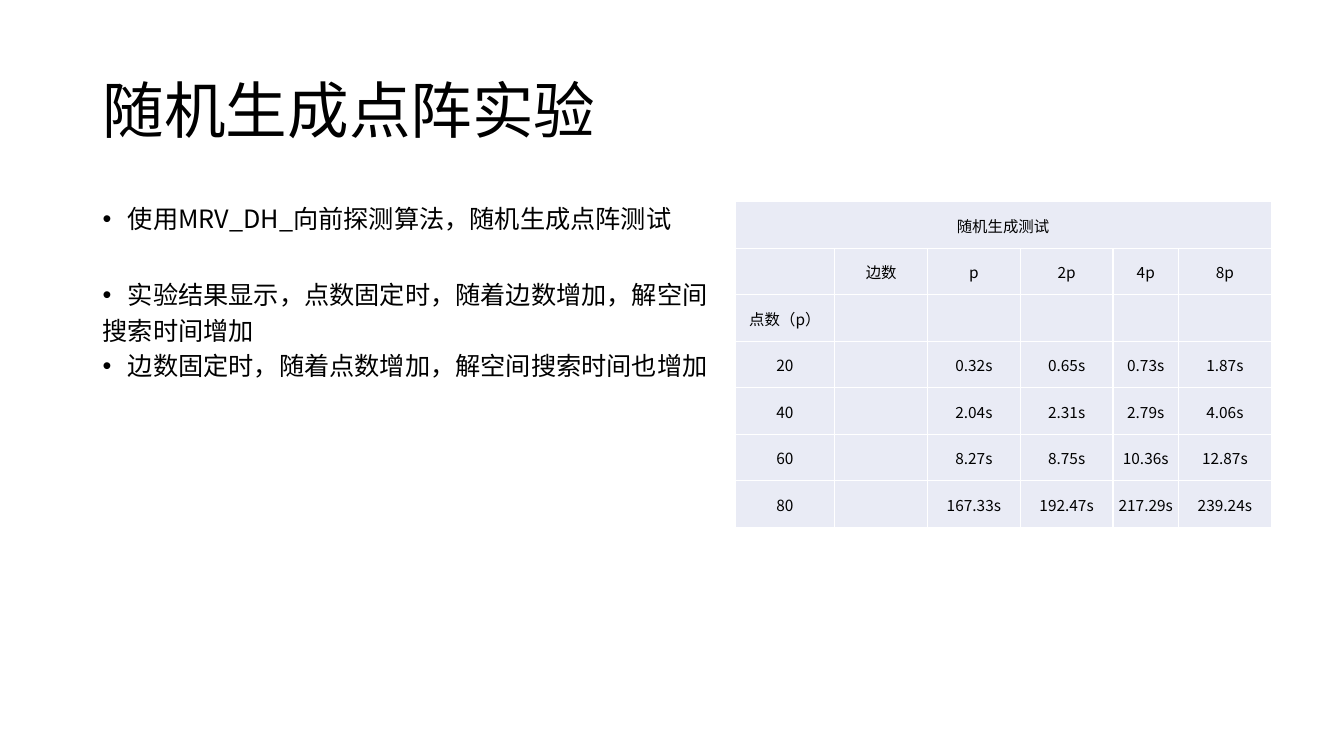
from dataclasses import dataclass

from lxml.etree import SubElement
from pptx import Presentation
from pptx.dml.color import RGBColor
from pptx.enum.text import MSO_ANCHOR, PP_ALIGN
from pptx.oxml.ns import qn
from pptx.util import Inches, Pt


@dataclass(frozen=True)
class Theme:
    """Colours, font and type sizes of the slide."""
    font: str = "Noto Sans CJK SC"
    ink: str = "000000"
    cell: str = "E9EBF5"
    rule: str = "FFFFFF"
    title: int = 44
    body: int = 18
    table: int = 11


THEME = Theme()
BULLETS = [
    ("使用MRV_DH_向前探测算法，随机生成点阵测试", True, 0),
    ("实验结果显示，点数固定时，随着边数增加，解空间", True, 35),
    ("搜索时间增加", False, 6),
    ("边数固定时，随着点数增加，解空间搜索时间也增加", True, 6),
]
COLUMNS = [0.99, 0.92, 0.92, 0.92, 0.65, 0.92]
ROWS = [
    ["随机生成测试", "", "", "", "", ""],
    ["", "边数", "p", "2p", "4p", "8p"],
    ["点数（p）", "", "", "", "", ""],
    ["20", "", "0.32s", "0.65s", "0.73s", "1.87s"],
    ["40", "", "2.04s", "2.31s", "2.79s", "4.06s"],
    ["60", "", "8.27s", "8.75s", "10.36s", "12.87s"],
    ["80", "", "167.33s", "192.47s", "217.29s", "239.24s"],
]


def style_runs(p, size):
    """Give every run of a paragraph the theme font, colour and a size."""
    for r in p.runs:
        r.font.size = Pt(size)
        r.font.name = THEME.font
        r.font.color.rgb = RGBColor.from_string(THEME.ink)
        SubElement(r.font._element, qn("a:ea"), typeface=THEME.font)


def add_text_frame(s, left, top, width, height, anchor):
    """Add a wrapping text box and return its text frame."""
    tf = s.shapes.add_textbox(Inches(left), Inches(top), Inches(width), Inches(height)).text_frame
    tf.word_wrap = True
    tf.vertical_anchor = anchor
    return tf


def add_title(s, text):
    """Add the slide title."""
    tf = add_text_frame(s, 0.92, 0.4, 11.5, 1.45, MSO_ANCHOR.MIDDLE)
    tf.text = text
    p = tf.paragraphs[0]
    p.line_spacing = 0.9
    style_runs(p, THEME.title)


def set_bullet(p):
    """Give a paragraph a hanging round bullet."""
    pPr = p._p.get_or_add_pPr()
    pPr.set("marL", str(Inches(0.25)))
    pPr.set("indent", str(-Inches(0.25)))
    SubElement(pPr, qn("a:buFont"), typeface="Arial")
    SubElement(pPr, qn("a:buChar"), char="•")


def add_bullets(s, items):
    """Add the body text with its bulleted and plain lines."""
    tf = add_text_frame(s, 0.92, 2, 11.5, 4.76, MSO_ANCHOR.TOP)
    tf.text = "\n".join(text for text, _, _ in items)
    for p, (_, bulleted, gap) in zip(tf.paragraphs, items):
        p.line_spacing = 0.9
        p.space_before = Pt(gap)
        if bulleted:
            set_bullet(p)
        style_runs(p, THEME.body)


def style_cell(cell):
    """Set borders, fill, margins and centred text of a table cell."""
    tcPr = cell._tc.get_or_add_tcPr()
    for side in ("a:lnL", "a:lnR", "a:lnT", "a:lnB"):
        ln = SubElement(tcPr, qn(side), w=str(Pt(1)))
        fill = SubElement(ln, qn("a:solidFill"))
        SubElement(fill, qn("a:srgbClr"), val=THEME.rule)
    cell.fill.solid()
    cell.fill.fore_color.rgb = RGBColor.from_string(THEME.cell)
    cell.margin_left = cell.margin_right = cell.margin_top = Inches(0.01)
    cell.margin_bottom = 0
    cell.vertical_anchor = MSO_ANCHOR.MIDDLE
    p = cell.text_frame.paragraphs[0]
    p.alignment = PP_ALIGN.CENTER
    style_runs(p, THEME.table)


def add_results(s, rows, columns):
    """Add the table of search times under one merged heading."""
    table = s.shapes.add_table(len(rows), len(columns), Inches(7.29), Inches(2),
                               Inches(sum(columns)), Inches(3.23)).table
    for column, width in zip(table.columns, columns):
        column.width = Inches(width)
    for i, row in enumerate(rows):
        for j, text in enumerate(row):
            cell = table.cell(i, j)
            if text:
                cell.text = text
            style_cell(cell)
    table.cell(0, 0).merge(table.cell(0, len(columns) - 1))


def main():
    """Build the slide and save it."""
    prs = Presentation()
    prs.slide_width, prs.slide_height = Inches(13.33), Inches(7.5)
    s = prs.slides.add_slide(prs.slide_layouts[6])
    add_title(s, "随机生成点阵实验")
    add_bullets(s, BULLETS)
    add_results(s, ROWS, COLUMNS)
    prs.save("out.pptx")


if __name__ == "__main__":
    main()
